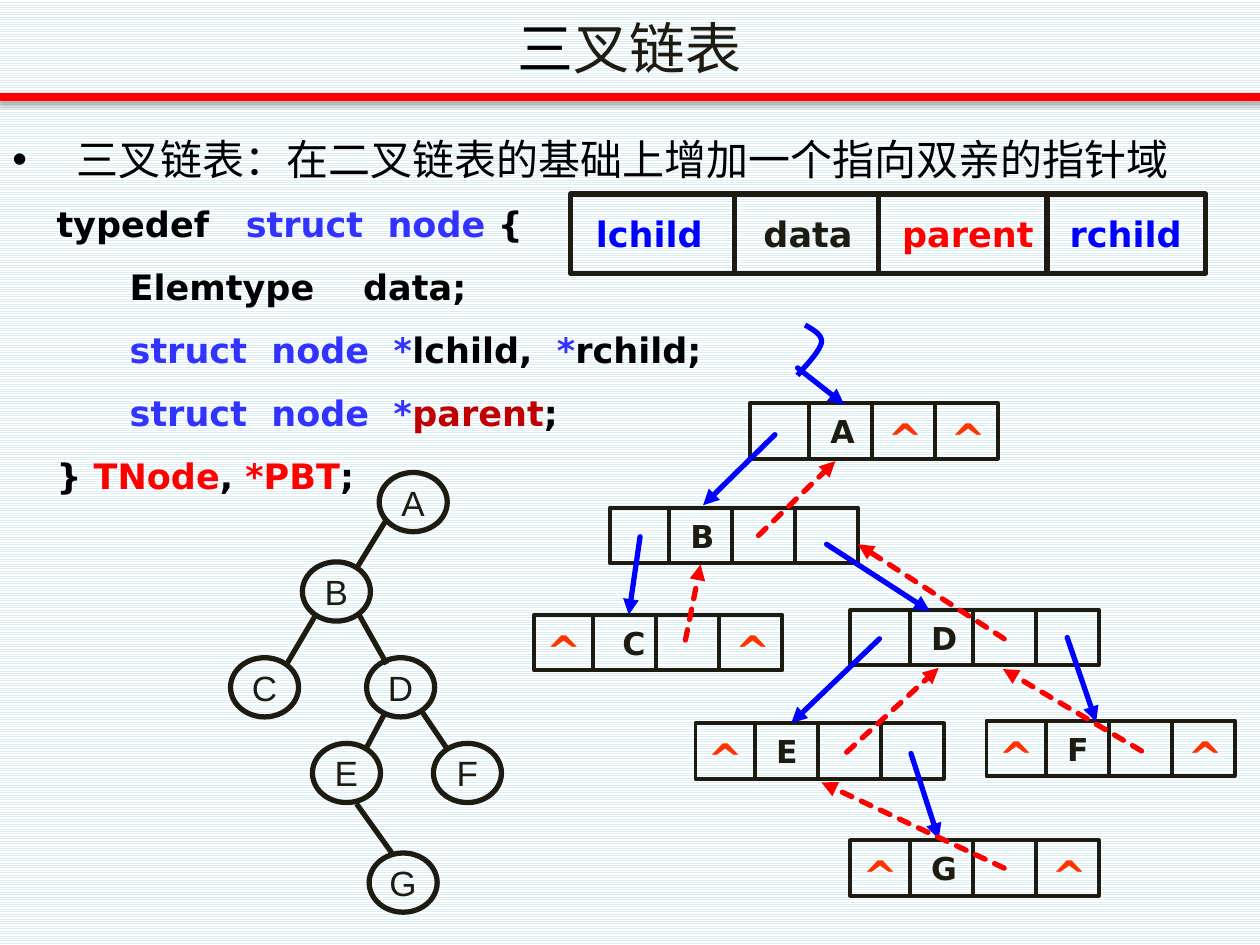
import pptx
import pptx.dml.color
import pptx.enum.dml
import pptx.enum.shapes
import pptx.enum.text
import pptx.oxml
import pptx.oxml.ns
import pptx.util
from pptx.util import Inches

COLORS = {
    "black": "000000", "ink": "1E1C11", "red": "FF0000", "dark_red": "C00000",
    "blue": "0000FF", "keyword": "3333FF", "null": "FF3300",
    "stripe": "DBEEF4", "white": "FFFFFF",
}
RGB = {name: pptx.dml.color.RGBColor.from_string(code) for name, code in COLORS.items()}
NAMESPACE = pptx.oxml.ns.nsdecls("a")
MIDDLE = pptx.enum.text.MSO_ANCHOR.MIDDLE
CENTER = pptx.enum.text.PP_ALIGN.CENTER
SHAPES = pptx.enum.shapes.MSO_SHAPE

deck = pptx.Presentation()
deck.slide_width, deck.slide_height = Inches(10), Inches(7.5)
page = deck.slides.add_slide(deck.slide_layouts[6])
background = page.background.fill
background.patterned()
background.pattern = pptx.enum.dml.MSO_PATTERN.LIGHT_HORIZONTAL
background.fore_color.rgb = RGB["stripe"]
background.back_color.rgb = RGB["white"]


def add_text(shape, lines, size, font="DejaVu Sans", bold=False, paragraph_format=None, **frame_format):
    """Write lines of (text, colour) spans into a shape."""
    frame = shape.text_frame
    for name, value in {"word_wrap": True, **frame_format}.items():
        setattr(frame, name, value)
    text_format = {"size": pptx.util.Pt(size), "name": font, "bold": bold}
    for index, spans in enumerate(lines):
        paragraph = frame.add_paragraph() if index else frame.paragraphs[0]
        for name, value in {"alignment": pptx.enum.text.PP_ALIGN.LEFT, **(paragraph_format or {})}.items():
            setattr(paragraph, name, value)
        for text, color in spans:
            span = paragraph.add_run()
            span.text = text
            for name, value in text_format.items():
                setattr(span.font, name, value)
            span.font.color.rgb = RGB[color]


def add_line(start, end, color, width, arrow=False, dashed=False):
    """Draw a straight line, optionally dashed or with an arrowhead."""
    line = page.shapes.add_connector(
        pptx.enum.shapes.MSO_CONNECTOR.STRAIGHT, *map(Inches, (*start, *end)))
    line.line.color.rgb = RGB[color]
    line.line.width = pptx.util.Pt(width)
    if dashed:
        line.line.dash_style = pptx.enum.dml.MSO_LINE.SQUARE_DOT
    if arrow:
        outline = line.line._get_or_add_ln()
        outline.set("cap", "rnd")
        outline.append(pptx.oxml.parse_xml(f'<a:tailEnd {NAMESPACE} type="triangle"/>'))
    effects = pptx.oxml.parse_xml(f"<a:effectLst {NAMESPACE}/>")
    line._element.spPr.append(effects)
    return effects


# Title rule with its soft shadow
rule_effects = add_line((-0.01, 0.77), (10.01, 0.77), "red", 4.5)
rule_effects.append(pptx.oxml.parse_xml(
    f'<a:outerShdw {NAMESPACE} blurRad="40000" dist="23000" dir="5400000" rotWithShape="0">'
    '<a:srgbClr val="000000"><a:alpha val="35000"/></a:srgbClr></a:outerShdw>'))

# Title
title = page.shapes.add_textbox(Inches(0), Inches(0.05), Inches(10), Inches(0.65))
add_text(title, [[("三", "black"), ("叉链表", "ink")]], 32,
         paragraph_format={"alignment": CENTER}, vertical_anchor=MIDDLE)

# Definition bullet
definition = page.shapes.add_textbox(Inches(0), Inches(0.81), Inches(10), Inches(0.7))
bullet = definition.text_frame.paragraphs[0]._p.get_or_add_pPr()
bullet.set("marL", str(Inches(0.51)))
bullet.set("indent", str(Inches(-0.51)))
for tag in (f'<a:buFont {NAMESPACE} typeface="Arial"/>', f'<a:buChar {NAMESPACE} char="•"/>'):
    bullet.append(pptx.oxml.parse_xml(tag))
add_text(definition, [[("三叉链表：在二叉链表的基础上增加一个指向双亲的指针域", "black")]], 24,
         paragraph_format={"line_spacing": 1.5})

# Type declaration
code = page.shapes.add_textbox(Inches(0.35), Inches(1.39), Inches(5.51), Inches(2.86))
add_text(code, [
    [("typedef   ", "black"), ("struct  node ", "keyword"), ("{", "black")],
    [("      Elemtype    data;", "black")],
    [("      struct  node  *", "keyword"), ("lchild,  ", "black"),
     ("*", "keyword"), ("rchild;", "black")],
    [("      struct  node  *", "keyword"), ("parent", "dark_red"), (";", "black")],
    [("} ", "black"), ("TNode", "red"), (", ", "black"), ("*PBT", "red"), (";", "black")],
], 20, bold=True, paragraph_format={"line_spacing": 1.5})

# Binary tree: circles, then edges
CIRCLES = {"A": (3.01, 3.75), "B": (2.4, 4.46), "C": (1.83, 5.22), "D": (2.91, 5.22),
           "E": (2.48, 5.9), "F": (3.44, 5.9), "G": (2.93, 6.77)}
for letter, (left, top) in CIRCLES.items():
    circle = page.shapes.add_shape(
        SHAPES.OVAL, Inches(left), Inches(top), Inches(0.54), Inches(0.47))
    circle.shadow.inherit = False
    circle.fill.background()
    circle.line.color.rgb = RGB["ink"]
    circle.line.width = pptx.util.Pt(3)
    add_text(circle, [[(letter, "ink")]], 20, font="Arial", word_wrap=False,
             paragraph_format={"alignment": CENTER}, vertical_anchor=MIDDLE)
for start, end in [
    ((3.07, 4.12), (2.83, 4.51)), ((2.5, 4.89), (2.27, 5.28)), ((2.85, 4.88), (3.07, 5.27)),
    ((3.06, 5.65), (2.9, 5.95)), ((3.35, 5.65), (3.54, 5.93)), ((2.83, 6.38), (3.11, 6.77)),
]:
    add_line(start, end, "ink", 3)

# Record boxes: left, top, width, height, line width, divider offsets, text start, text size, spans
NODES = {"A": (5.95, 3.2), "B": (4.84, 4.03), "C": (4.24, 4.88), "D": (6.75, 4.84),
         "E": (5.52, 5.74), "F": (7.83, 5.72), "G": (6.75, 6.67)}
FIELDS = [("lchild\t", "blue"), ("data\t", "ink"), ("parent\t", "red"), ("rchild", "blue")]
records = [(4.53, 1.54, 5.04, 0.63, 3, (1.3, 2.44, 3.78), 0.2, 20, FIELDS)]
for letter, (left, top) in NODES.items():
    records.append((left, top, 1.97, 0.44, 2.25, (0.47, 0.97, 1.47),
                    0.7 if letter == "C" else 0.64, 18, [(letter, "ink")]))
for left, top, width, height, weight, dividers, text_start, size, spans in records:
    record = page.shapes.add_shape(SHAPES.RECTANGLE, *map(Inches, (left, top, width, height)))
    record.shadow.inherit = False
    record.fill.background()
    record.line.color.rgb = RGB["ink"]
    record.line.width = pptx.util.Pt(weight)
    if spans is FIELDS:
        stops = "".join(f'<a:tab pos="{Inches(stop)}" algn="l"/>' for stop in (1.33, 2.43, 3.76))
        record.text_frame.paragraphs[0]._p.get_or_add_pPr().append(
            pptx.oxml.parse_xml(f"<a:tabLst {NAMESPACE}>{stops}</a:tabLst>"))
    add_text(record, [spans], size, bold=True, vertical_anchor=MIDDLE,
             margin_left=Inches(text_start), margin_right=0)
    for offset in dividers:
        add_line((left + offset, top), (left + offset, top + height), "ink", weight)

# Child pointers
for start, end in [
    ((6.15, 3.45), (5.58, 4.01)), ((5.08, 4.26), (4.99, 4.88)), ((6.98, 5.07), (6.28, 5.74)),
    ((6.56, 4.32), (7.38, 4.85)), ((8.47, 5.06), (8.7, 5.73)), ((7.23, 5.98), (7.45, 6.66)),
]:
    add_line(start, end, "blue", 3, arrow=True)

# Parent pointers
for start, end in [
    ((6.02, 4.25), (6.63, 3.66)), ((5.44, 5.08), (5.56, 4.48)), ((7.97, 5.07), (6.81, 4.32)),
    ((6.72, 5.97), (7.45, 5.3)), ((7.97, 6.89), (6.52, 6.21)), ((9.06, 5.96), (7.96, 5.31)),
]:
    add_line(start, end, "red", 3, arrow=True, dashed=True)

# Root pointer: a curved tail sampled from two cubic curves, then an arrow
CURVES = [((6.39, 2.58), (6.46, 2.62), (6.53, 2.66), (6.52, 2.72)),
          ((6.52, 2.72), (6.51, 2.79), (6.36, 2.94), (6.33, 2.98))]
STEPS = 10
points = []
for curve in CURVES:
    for step in range(1, STEPS + 1):
        t = step / STEPS
        weights = ((1 - t) ** 3, 3 * t * (1 - t) ** 2, 3 * t ** 2 * (1 - t), t ** 3)
        points.append(tuple(
            Inches(sum(w * point[axis] for w, point in zip(weights, curve))) for axis in (0, 1)))
builder = page.shapes.build_freeform(*map(Inches, CURVES[0][0]))
builder.add_line_segments(points, close=False)
root_tail = builder.convert_to_shape()
root_tail.shadow.inherit = False
root_tail.fill.background()
root_tail.line.color.rgb = RGB["blue"]
root_tail.line.width = pptx.util.Pt(3)
add_line((6.33, 2.92), (6.7, 3.21), "blue", 3, arrow=True)

# Null marks, by node and cell number
NULL_CELLS = {"A": (2, 3), "C": (0, 3), "E": (0,), "F": (0, 3), "G": (0, 3)}
for letter, cells in NULL_CELLS.items():
    left, top = NODES[letter]
    for cell in cells:
        mark = page.shapes.add_textbox(
            Inches(left + 0.02 + 0.5 * cell), Inches(top), Inches(0.43), Inches(0.43))
        add_text(mark, [[("^", "null")]], 24, bold=True,
                 paragraph_format={"alignment": CENTER}, vertical_anchor=MIDDLE,
                 margin_left=0, margin_top=Inches(0.12), margin_right=0, margin_bottom=0)

deck.save("out.pptx")
